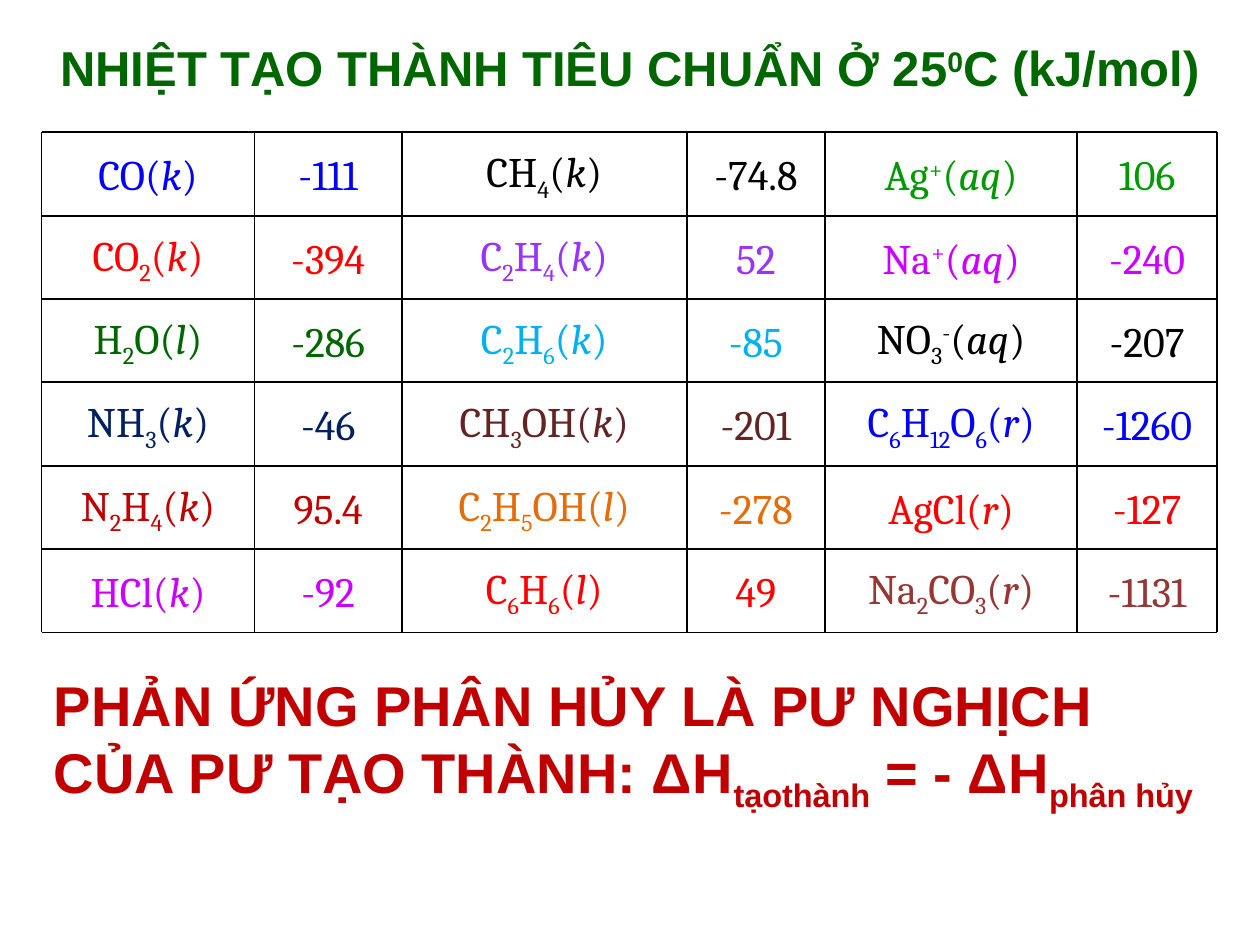
from dataclasses import dataclass
from itertools import groupby, pairwise

from lxml.etree import SubElement
from pptx import Presentation
from pptx.dml.color import RGBColor
from pptx.enum.shapes import MSO_CONNECTOR as Connector
from pptx.enum.text import MSO_ANCHOR as Anchor, MSO_AUTO_SIZE as AutoSize, PP_ALIGN as Align
from pptx.oxml.ns import qn
from pptx.util import Inches, Pt

COLORS = {
    "black": "000000", "blue": "0000FF", "red": "FF0000", "green": "006600",
    "leaf": "009900", "navy": "002060", "crimson": "C00000", "magenta": "CC00FF",
    "violet": "9933FF", "sky": "00B0F0", "maroon": "632523", "orange": "E46C0A",
    "brown": "953735",
}
SUB, SUP = -25000, 30000


@dataclass
class Substance:
    formula: str
    phase: str
    enthalpy: str
    color: str


@dataclass
class Piece:
    text: str
    baseline: int = 0
    italic: bool = False


# Each row holds three substances
SUBSTANCES = [
    [Substance("CO", "k", "-111", "blue"),
     Substance("CH4", "k", "-74.8", "black"),
     Substance("Ag+", "aq", "106", "leaf")],
    [Substance("CO2", "k", "-394", "red"),
     Substance("C2H4", "k", "52", "violet"),
     Substance("Na+", "aq", "-240", "magenta")],
    [Substance("H2O", "l", "-286", "green"),
     Substance("C2H6", "k", "-85", "sky"),
     Substance("NO3-", "aq", "-207", "black")],
    [Substance("NH3", "k", "-46", "navy"),
     Substance("CH3OH", "k", "-201", "maroon"),
     Substance("C6H12O6", "r", "-1260", "blue")],
    [Substance("N2H4", "k", "95.4", "crimson"),
     Substance("C2H5OH", "l", "-278", "orange"),
     Substance("AgCl", "r", "-127", "red")],
    [Substance("HCl", "k", "-92", "magenta"),
     Substance("C6H6", "l", "49", "red"),
     Substance("Na2CO3", "r", "-1131", "brown")],
]
COLUMN_EDGES = [0.33, 2.02, 3.19, 5.45, 6.55, 8.55, 9.66]
TABLE_TOP, TABLE_HEIGHT = 1.05, 3.97


def char_baseline(char: str) -> int:
    """Digits are indices and signs are charges."""
    if char.isdigit():
        return SUB
    return SUP if char in "+-" else 0


def formula_pieces(item: Substance) -> list[Piece]:
    groups = groupby(item.formula + "(", key=char_baseline)
    pieces = [Piece("".join(chars), base) for base, chars in groups]
    return pieces + [Piece(item.phase, italic=True), Piece(")")]


def write(p, pieces: list[Piece], font: str, size: int, color: str,
          bold: bool = False, align: Align = Align.CENTER) -> None:
    p.alignment = align
    p.font.name, p.font.size, p.font.bold = font, Pt(size), bold
    p.font.color.rgb = RGBColor.from_string(COLORS[color])
    for piece in pieces:
        r = p.add_run()
        r.text = piece.text
        if piece.italic:
            r.font.italic = True
        if piece.baseline:
            r.font._element.set("baseline", str(piece.baseline))


def fill_cell(cell, pieces: list[Piece], color: str) -> None:
    cell.fill.background()
    cell.vertical_anchor = Anchor.MIDDLE
    cell.margin_top = Inches(0.1)
    write(cell.text_frame.paragraphs[0], pieces, "Cambria", 24, color)


def add_substance_table(slide) -> None:
    left, right = COLUMN_EDGES[0], COLUMN_EDGES[-1]
    table = slide.shapes.add_table(
        len(SUBSTANCES), len(COLUMN_EDGES) - 1, Inches(left), Inches(TABLE_TOP),
        Inches(right - left), Inches(TABLE_HEIGHT)).table
    table.first_row = table.horz_banding = False
    for column, (start, end) in zip(table.columns, pairwise(COLUMN_EDGES)):
        column.width = Inches(end - start)
    for row, items in enumerate(SUBSTANCES):
        for i, item in enumerate(items):
            fill_cell(table.cell(row, 2 * i), formula_pieces(item), item.color)
            fill_cell(table.cell(row, 2 * i + 1), [Piece(item.enthalpy)], item.color)


def add_rule(slide, x1: float, y1: float, x2: float, y2: float) -> None:
    line = slide.shapes.add_connector(
        Connector.STRAIGHT, Inches(x1), Inches(y1), Inches(x2), Inches(y2))
    line.line.color.rgb = RGBColor.from_string(COLORS["black"])
    line.line.width = Pt(1)
    SubElement(line._element.spPr, qn("a:effectLst"))


def add_grid(slide) -> None:
    left, right = COLUMN_EDGES[0], COLUMN_EDGES[-1]
    bottom = TABLE_TOP + TABLE_HEIGHT
    for i in range(len(SUBSTANCES) + 1):
        y = TABLE_TOP + TABLE_HEIGHT * i / len(SUBSTANCES)
        add_rule(slide, left, y, right, y)
    for x in COLUMN_EDGES:
        add_rule(slide, x, TABLE_TOP, x, bottom)


def main() -> None:
    prs = Presentation()
    prs.slide_width, prs.slide_height = Inches(10), Inches(7.5)
    slide = prs.slides.add_slide(prs.slide_layouts[5])

    # Title
    title = slide.shapes.title
    title.left, title.top = Inches(0), Inches(0.25)
    title.width, title.height = Inches(10), Inches(0.57)
    tf = title.text_frame
    tf.vertical_anchor = Anchor.TOP
    tf.auto_size = AutoSize.SHAPE_TO_FIT_TEXT
    write(tf.paragraphs[0],
          [Piece("NHIỆT TẠO THÀNH TIÊU CHUẨN Ở 25"), Piece("0", SUP), Piece("C (kJ/mol)")],
          "Arial", 28, "green", bold=True)

    # Enthalpies of formation
    add_substance_table(slide)
    add_grid(slide)

    # Conclusion
    sp = slide.shapes.add_textbox(Inches(0.33), Inches(5.27), Inches(9.5), Inches(1.18))
    tf = sp.text_frame
    tf.word_wrap = True
    tf.auto_size = AutoSize.SHAPE_TO_FIT_TEXT
    write(tf.paragraphs[0],
          [Piece("PHẢN ỨNG PHÂN HỦY LÀ PƯ NGHỊCH CỦA PƯ TẠO THÀNH: ΔH"),
           Piece("tạothành", SUB), Piece(" = - ΔH"), Piece("phân hủy", SUB)],
          "Arial", 32, "crimson", bold=True, align=Align.LEFT)

    prs.save("out.pptx")


if __name__ == "__main__":
    main()
